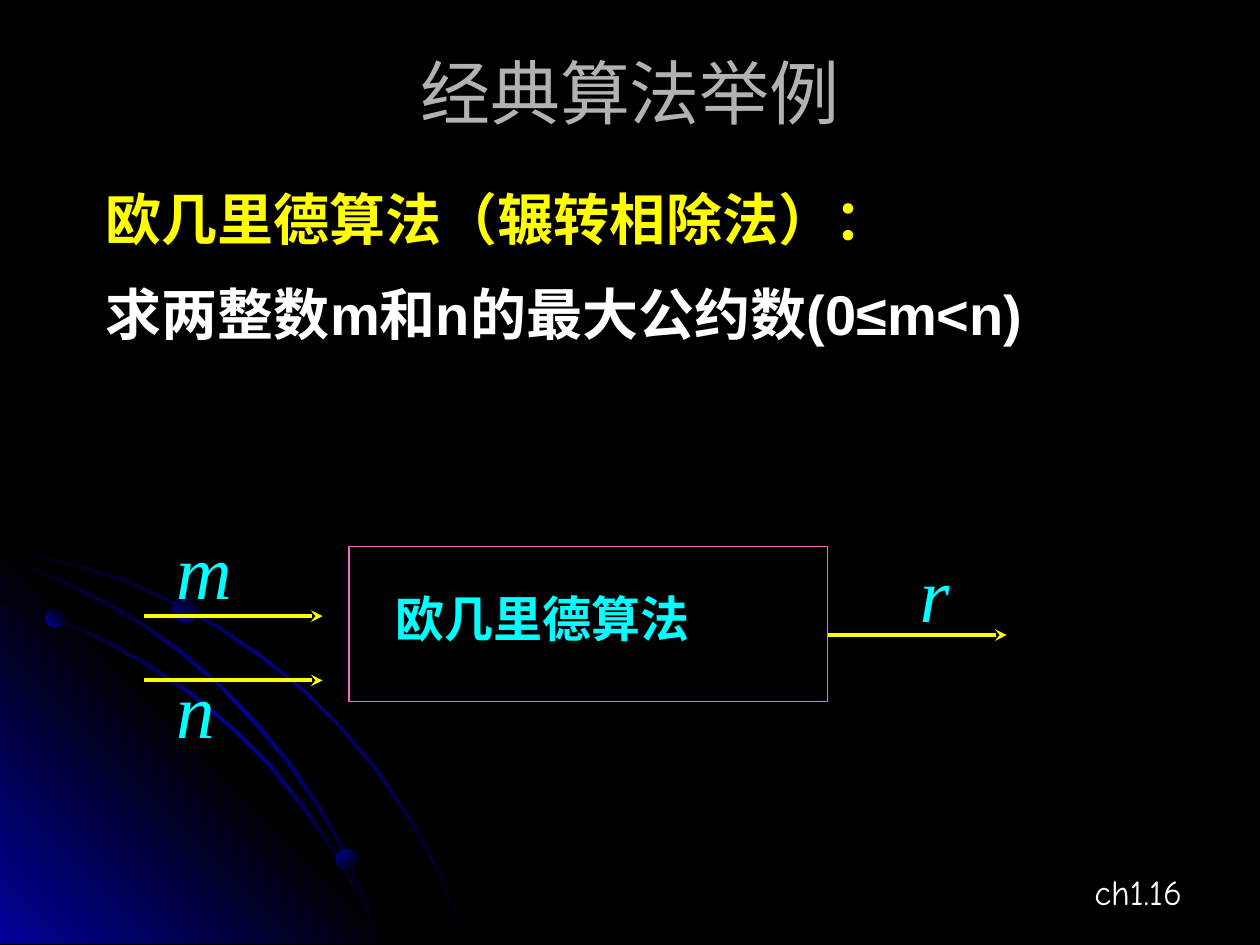
"""Build a slide that introduces the Euclidean algorithm as a box with two inputs and one output."""

from copy import deepcopy
from dataclasses import dataclass

from pptx import Presentation
from pptx.dml.color import RGBColor
from pptx.enum.shapes import MSO_CONNECTOR, MSO_SHAPE
from pptx.enum.text import MSO_ANCHOR, PP_ALIGN
from pptx.oxml.ns import qn
from pptx.util import Inches, Pt
from lxml import etree

RECTANGLE, OVAL = MSO_SHAPE.RECTANGLE, MSO_SHAPE.OVAL
STRAIGHT = MSO_CONNECTOR.STRAIGHT
LEFT, CENTER, RIGHT = PP_ALIGN.LEFT, PP_ALIGN.CENTER, PP_ALIGN.RIGHT
TOP, MIDDLE = MSO_ANCHOR.TOP, MSO_ANCHOR.MIDDLE

BLACK = RGBColor(0x00, 0x00, 0x00)
WHITE = RGBColor(0xFF, 0xFF, 0xFF)
NAVY = RGBColor(0x01, 0x01, 0x99)
GRAY = RGBColor(0xB2, 0xB2, 0xB2)
YELLOW = RGBColor(0xFF, 0xFF, 0x00)
CYAN = RGBColor(0x00, 0xFF, 0xFF)
PINK = RGBColor(0xFF, 0x66, 0xCC)

RISING, FALLING = 45, 315


@dataclass(frozen=True)
class Outline:
    points: tuple
    colors: tuple
    angle: int


@dataclass(frozen=True)
class Dot:
    left: float
    top: float
    size: float
    angle: int


@dataclass(frozen=True)
class Flow:
    name: str
    left: float
    top: float
    label_left: float
    label_top: float


ARC_COLORS = (BLACK, NAVY, BLACK)
OUTLINES = (
    Outline((
        (0.57, 4.47), (0.28, 4.41), (0, 4.35), (0, 4.38), (0.28, 4.43), (0.56, 4.49),
        (0.97, 4.61), (1.35, 4.78), (1.73, 4.99), (2.08, 5.23), (2.41, 5.49), (2.71, 5.79),
        (2.98, 6.12), (3.23, 6.49), (3.37, 6.73), (3.5, 6.98), (3.6, 7.23), (3.7, 7.49),
        (3.72, 7.49), (3.62, 7.23), (3.52, 6.98), (3.39, 6.73), (3.25, 6.48), (3, 6.11),
        (2.72, 5.78), (2.42, 5.48), (2.09, 5.21), (1.74, 4.97), (1.36, 4.77), (0.98, 4.59),
    ), ARC_COLORS, FALLING),
    Outline(((3.22, 7.49), (0, 7.49), (0, 4.27)), (NAVY, BLACK, NAVY), RISING),
    Outline((
        (2.85, 7.14), (2.94, 7.32), (3.01, 7.49), (3.03, 7.49), (2.96, 7.3), (2.86, 7.12),
        (2.66, 6.76), (2.42, 6.4), (2.15, 6.06), (1.84, 5.76), (1.52, 5.49), (1.17, 5.26),
        (0.79, 5.05), (0.41, 4.88), (0, 4.75), (0, 4.77), (0.39, 4.9), (0.77, 5.07),
        (1.15, 5.28), (1.5, 5.51), (1.83, 5.78), (2.13, 6.08), (2.4, 6.42), (2.65, 6.77),
    ), ARC_COLORS, FALLING),
    Outline((
        (0, 4.42), (0, 4.44), (0.36, 4.57), (0.74, 4.75), (1.09, 4.94), (1.42, 5.18),
        (1.73, 5.44), (2.02, 5.75), (2.27, 6.05), (2.52, 6.41), (2.67, 6.67), (2.8, 6.94),
        (2.92, 7.22), (3.01, 7.49), (3.03, 7.49), (2.94, 7.2), (2.82, 6.93), (2.69, 6.65),
        (2.54, 6.39), (2.29, 6.03), (2.04, 5.73), (1.75, 5.43), (1.44, 5.16), (1.11, 4.93),
        (0.76, 4.73), (0.39, 4.55),
    ), ARC_COLORS, FALLING),
)
DOTS = (
    Dot(0.36, 4.83, 0.15, RISING),
    Dot(2.67, 6.74, 0.16, FALLING),
    Dot(1.37, 4.73, 0.21, RISING),
)
FLOWS = (
    Flow("m", 1.14, 4.89, 1.3, 4.1),
    Flow("n", 1.14, 5.4, 1.3, 5.2),
    Flow("r", 6.57, 5.04, 7.2, 4.28),
)
FLOW_LENGTH = 1.42


def paint_gradient(shape, colors: tuple, angle: int) -> None:
    """Fill a shape with evenly spaced gradient colours and no outline."""
    shape.shadow.inherit = False
    shape.line.fill.background()
    shape.fill.gradient()
    shape.fill.gradient_angle = angle
    stop_list = shape.element.spPr.find(".//" + qn("a:gsLst"))
    while len(stop_list) < len(colors):
        stop_list.append(deepcopy(stop_list[0]))
    for index, (stop, color) in enumerate(zip(shape.fill.gradient_stops, colors)):
        stop.position = index / (len(colors) - 1)
        stop.color.rgb = color


def draw_outline(page, outline: Outline) -> None:
    """Draw one closed background outline."""
    first, *rest = [(Inches(x), Inches(y)) for x, y in outline.points]
    builder = page.shapes.build_freeform(*first)
    builder.add_line_segments(rest, close=True)
    paint_gradient(builder.convert_to_shape(), outline.colors, outline.angle)


def draw_dot(page, dot: Dot) -> None:
    """Draw one shaded background dot."""
    size = Inches(dot.size)
    shape = page.shapes.add_shape(OVAL, Inches(dot.left), Inches(dot.top), size, size)
    paint_gradient(shape, (NAVY, BLACK), dot.angle)


def add_box(page, left: float, top: float, width: float, height: float, anchor=TOP):
    """Add a wrapping text box and return its text frame."""
    box = page.shapes.add_textbox(Inches(left), Inches(top), Inches(width), Inches(height))
    box.text_frame.word_wrap = True
    box.text_frame.vertical_anchor = anchor
    return box.text_frame


def write(frame, text: str, *, size: float, color: RGBColor, font: str = "Arial",
          bold: bool = False, italic: bool = False, align=LEFT,
          spacing: float = 1.0, before: float = 0) -> None:
    """Write one paragraph, using the empty first one when there is one."""
    first = frame.paragraphs[0]
    para = frame.add_paragraph() if first.runs else first
    para.alignment = align
    para.line_spacing = spacing
    para.space_before = Pt(before)
    span = para.add_run()
    span.text = text
    span.font.name = font
    span.font.size = Pt(size)
    span.font.bold = bold
    span.font.italic = italic
    span.font.color.rgb = color


def draw_flow(page, flow: Flow) -> None:
    """Draw one arrow with its variable name."""
    top = Inches(flow.top)
    arrow = page.shapes.add_connector(
        STRAIGHT, Inches(flow.left), top, Inches(flow.left + FLOW_LENGTH), top)
    arrow.line.color.rgb = YELLOW
    arrow.line.width = Pt(2.25)
    properties = arrow.element.spPr
    etree.SubElement(properties.find(qn("a:ln")), qn("a:tailEnd"), type="stealth")
    etree.SubElement(properties, qn("a:effectLst"))
    label = add_box(page, flow.label_left, flow.label_top, 0.79, 0.84)
    write(label, flow.name, size=44, color=CYAN, font="Times New Roman", italic=True)


def draw_algorithm(page) -> None:
    """Draw the outlined box that stands for the algorithm."""
    box = page.shapes.add_shape(
        RECTANGLE, Inches(2.77), Inches(4.34), Inches(3.8), Inches(1.23))
    box.shadow.inherit = False
    box.fill.background()
    box.line.color.rgb = PINK
    box.line.width = Pt(0.75)
    frame = box.text_frame
    frame.word_wrap = True
    frame.vertical_anchor = TOP
    frame.margin_left = Inches(0.37)
    frame.margin_top = Inches(0.33)
    write(frame, "欧几里德算法", size=28, color=CYAN, bold=True)


def main() -> None:
    """Build and save the deck."""
    deck = Presentation()
    deck.slide_width, deck.slide_height = Inches(10), Inches(7.5)
    page = deck.slides.add_slide(deck.slide_layouts[6])
    page.background.fill.solid()
    page.background.fill.fore_color.rgb = BLACK
    for outline in OUTLINES:
        draw_outline(page, outline)
    for dot in DOTS:
        draw_dot(page, dot)
    write(add_box(page, 7.2, 6.86, 2.28, 0.44), "ch1.16",
          size=20, color=WHITE, font="Comic Neue", align=RIGHT)
    write(add_box(page, 0.5, 0.3, 9, 0.85, MIDDLE), "经典算法举例",
          size=40, color=GRAY, align=CENTER)
    body = add_box(page, 0.35, 1.31, 9.13, 1.76)
    body.margin_left = Inches(0.49)
    write(body, "欧几里德算法（辗转相除法）：", size=32, color=YELLOW, bold=True, spacing=1.2)
    write(body, "求两整数m和n的最大公约数(0≤m<n)",
          size=32, color=WHITE, bold=True, spacing=1.2, before=8)
    draw_algorithm(page)
    for flow in FLOWS:
        draw_flow(page, flow)
    deck.save("out.pptx")


if __name__ == "__main__":
    main()
